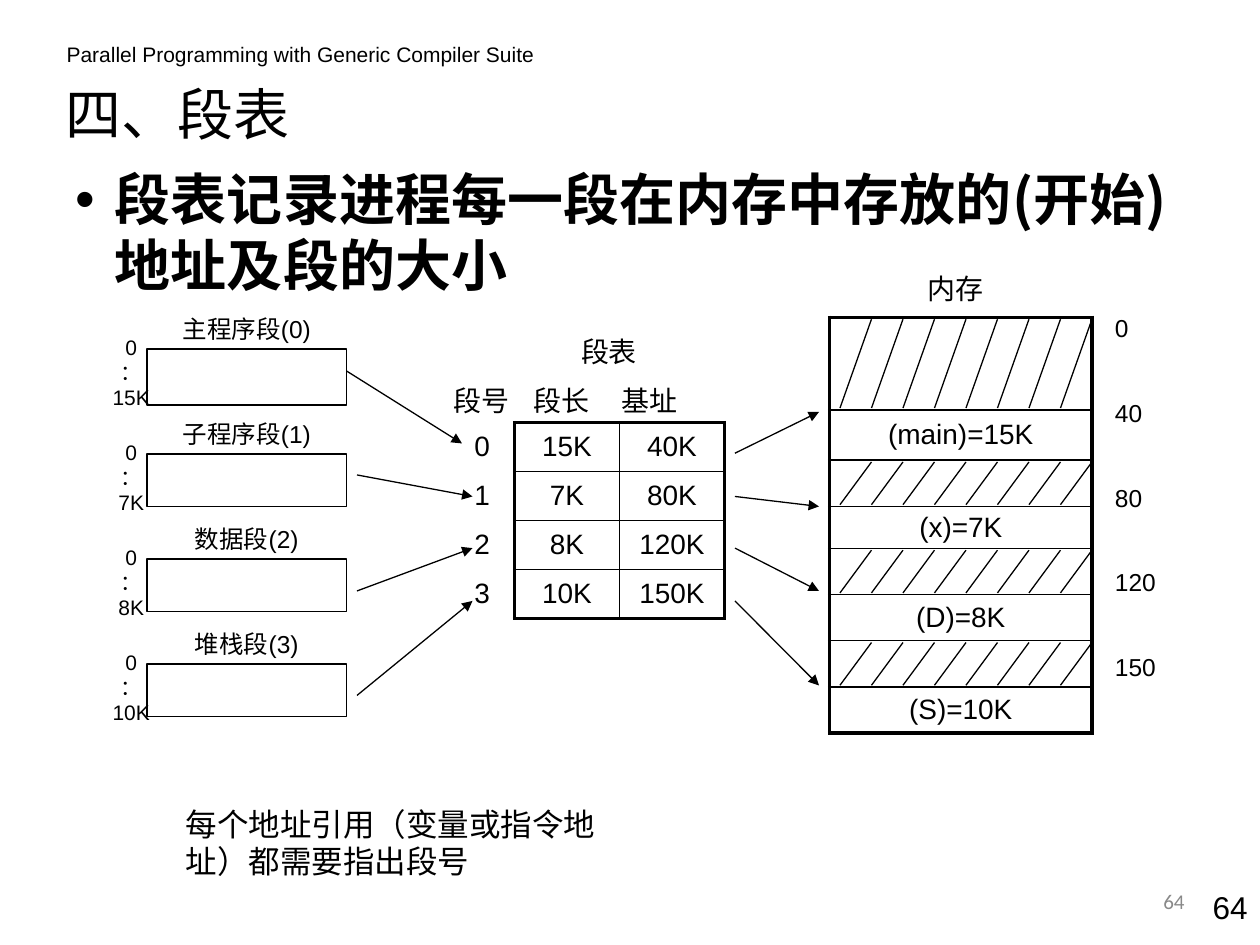
from lxml.etree import SubElement
from pptx import Presentation
from pptx.dml.color import RGBColor
from pptx.enum.shapes import MSO_CONNECTOR, MSO_SHAPE
from pptx.enum.text import MSO_ANCHOR as ANCHOR, PP_ALIGN as ALIGN
from pptx.oxml.ns import qn
from pptx.util import Pt

BLACK = "000000"
CJK = "Noto Sans CJK SC"
THICK, THIN, HAIR = 2.25, 1, 0.75

SEGMENTS = [  # name, last address, box height
    ("主程序段(0)", "15K", 32),
    ("子程序段(1)", "7K", 30),
    ("数据段(2)", "8K", 30),
    ("堆栈段(3)", "10K", 30),
]
SEGMENT_ROWS = [("15K", "40K"), ("7K", "80K"), ("8K", "120K"), ("10K", "150K")]
MEMORY = [  # text (None for hatched), height
    (None, 52.8), ("(main)=15K", 28.8), (None, 26.4), ("(x)=7K", 24),
    (None, 26.4), ("(D)=8K", 26.4), (None, 26.4), ("(S)=10K", 26.4),
]
ARROWS = [
    (198, 212, 264, 253.4), (204, 271.4, 270, 283.7),
    (204, 337.7, 270, 313.2), (204, 397.4, 270, 343.4),
    (420, 259, 468, 235.4), (420, 283.7, 468, 289.4),
    (420, 313.2, 468, 337.7), (420, 343.4, 468, 391.7),
]


def rgb(color):
    return RGBColor.from_string(color)


def add_run(p, text, size, font="Arial", color=BLACK, bold=False):
    r = p.add_run()
    r.text = text
    r.font.size = Pt(size)
    r.font.name = font
    r.font.bold = bold
    r.font.color.rgb = rgb(color)
    SubElement(r.font._element, qn("a:ea")).set("typeface", CJK)


def add_text(slide, box, lines, size, align=ALIGN.LEFT, anchor=ANCHOR.TOP,
             gap=0, leading=None, **style):
    """Text box with one paragraph a line; gap and leading are in points."""
    tf = slide.shapes.add_textbox(*map(Pt, box)).text_frame
    tf.word_wrap = True
    tf.vertical_anchor = anchor
    for i, line in enumerate(lines):
        p = tf.add_paragraph() if i else tf.paragraphs[0]
        p.alignment = align
        if i and gap:
            p.space_before = Pt(gap)
        if leading:
            p.line_spacing = Pt(leading)
        add_run(p, line, size, **style)


def add_label(slide, cx, cy, text, size):
    w, h = 110, 26
    add_text(slide, (cx - w / 2, cy - h / 2, w, h), [text], size,
             ALIGN.CENTER, ANCHOR.MIDDLE)


def add_line(slide, x1, y1, x2, y2, arrow=False):
    c = slide.shapes.add_connector(MSO_CONNECTOR.STRAIGHT,
                                   *map(Pt, (x1, y1, x2, y2)))
    c.line.color.rgb = rgb(BLACK)
    c.line.width = Pt(HAIR)
    if arrow:
        SubElement(c.line._get_or_add_ln(), qn("a:tailEnd")).set("type", "triangle")
    SubElement(c._element.spPr, qn("a:effectLst"))


def set_borders(cell, widths):
    tcPr = cell._tc.get_or_add_tcPr()
    for side, width in zip("LRTB", widths):
        ln = SubElement(tcPr, qn(f"a:ln{side}"), w=str(Pt(width)))
        fill = SubElement(ln, qn("a:solidFill"))
        SubElement(fill, qn("a:srgbClr")).set("val", BLACK)


def add_grid(slide, x, y, col_width, rows, heights):
    """Unfilled table with a thick frame and thin inner lines."""
    n, m = len(rows), len(rows[0])
    table = slide.shapes.add_table(n, m, Pt(x), Pt(y), Pt(col_width * m),
                                   Pt(sum(heights))).table
    table.first_row = table.horz_banding = False
    for col in table.columns:
        col.width = Pt(col_width)
    for i, (row, height) in enumerate(zip(rows, heights)):
        table.rows[i].height = Pt(height)
        for j, text in enumerate(row):
            cell = table.cell(i, j)
            cell.margin_top = cell.margin_bottom = 0
            cell.vertical_anchor = ANCHOR.MIDDLE
            at_edge = (j == 0, j == m - 1, i == 0, i == n - 1)
            set_borders(cell, [THICK if edge else THIN for edge in at_edge])
            cell.fill.background()
            p = cell.text_frame.paragraphs[0]
            p.alignment = ALIGN.CENTER
            if text:
                add_run(p, text, 16)


def place(sp, box):
    sp.left, sp.top, sp.width, sp.height = map(Pt, box)


def fill_placeholders(slide):
    title, body = slide.placeholders
    place(title, (30, 37.4, 408, 54))
    title.text_frame.vertical_anchor = ANCHOR.MIDDLE
    p = title.text_frame.paragraphs[0]
    p.alignment = ALIGN.LEFT
    add_run(p, "四、段表", 32, CJK)

    place(body, (36, 91.4, 660, 96))
    p = body.text_frame.paragraphs[0]
    pPr = p._p.get_or_add_pPr()
    pPr.set("marL", str(Pt(22.5)))
    pPr.set("indent", str(-Pt(22.5)))
    SubElement(pPr, qn("a:buFont")).set("typeface", "Arial")
    SubElement(pPr, qn("a:buChar")).set("char", "•")
    p.space_before = Pt(0)
    p.line_spacing = Pt(37.7)
    add_run(p, "段表记录进程每一段在内存中存放的(开始)地址及段的大小", 32, CJK, bold=True)


def add_segment(slide, top, name, end, height):
    sp = slide.shapes.add_shape(MSO_SHAPE.RECTANGLE,
                                *map(Pt, (84, top, 114, height)))
    sp.shadow.inherit = False
    sp.fill.background()
    sp.line.color.rgb = rgb(BLACK)
    sp.line.width = Pt(HAIR)
    add_label(slide, 141, top - 11.5, name, 14)
    add_text(slide, (54, top - 12, 42, 50.4), ["0", "：", end], 12,
             ALIGN.CENTER, leading=14.4)


def add_segment_table(slide):
    add_label(slide, 348, 201, "段表", 16)
    for cx, heading in ((275, "段号"), (321, "段长"), (371, "基址")):
        add_label(slide, cx, 228.5, heading, 16)
    add_text(slide, (264, 241.4, 30, 113), "0123", 16, gap=8.8)
    add_grid(slide, 294, 241.4, 60, SEGMENT_ROWS, [28] * 4)


def add_memory(slide):
    left, top, width, step = 474, 181.4, 150, 18
    add_label(slide, 546, 165, "内存", 16)
    add_grid(slide, left, top, width, [(text,) for text, _ in MEMORY],
             [height for _, height in MEMORY])
    y = top
    for text, height in MEMORY:
        if text is None:
            for i in range(8):
                x = left + width - i * step
                add_line(slide, x, y + 1, x - step, y + height - 1)
        y += height
    add_text(slide, (630, 175.4, 48, 225), ["0", "40", "80", "120", "150"],
             14, gap=31.6)


def main():
    prs = Presentation()
    prs.slide_width, prs.slide_height = Pt(720), Pt(540)
    slide = prs.slides.add_slide(prs.slide_layouts[1])
    fill_placeholders(slide)
    add_text(slide, (31, 20, 330, 22),
             ["Parallel Programming with Generic Compiler Suite"], 12)
    for i, segment in enumerate(SEGMENTS):
        add_segment(slide, 199.4 + 60 * i, *segment)
    add_segment_table(slide)
    add_memory(slide)
    for arrow in ARROWS:
        add_line(slide, *arrow, arrow=True)
    add_text(slide, (99, 457, 278, 51),
             ["每个地址引用（变量或指令地址）都需要指出段号"], 18, leading=21.2)
    add_text(slide, (516, 500.4, 168, 28.8), ["64"], 12, ALIGN.RIGHT,
             ANCHOR.MIDDLE, font="Calibri", color="898989")
    add_text(slide, (672, 504, 48, 36), ["64"], 18, ALIGN.RIGHT)
    prs.save("out.pptx")


if __name__ == "__main__":
    main()
